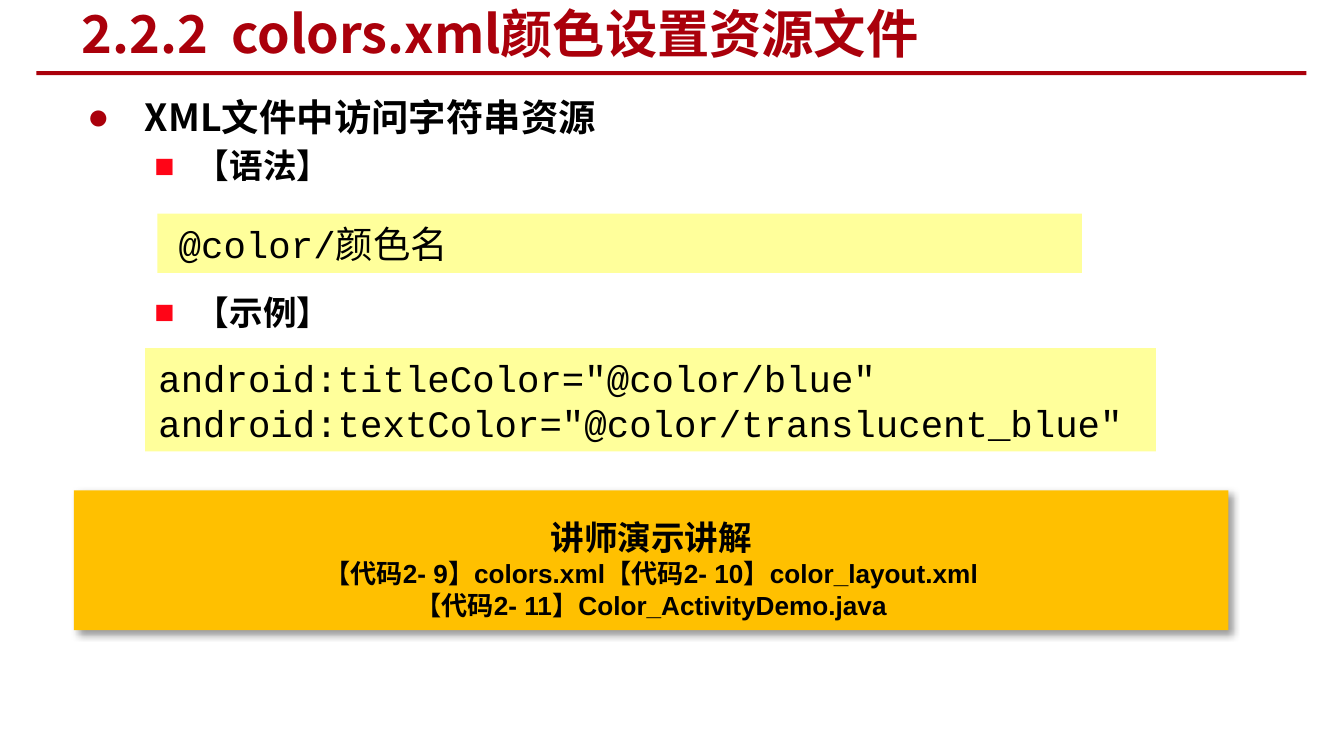
from lxml import etree
from pptx import Presentation
from pptx.dml.color import RGBColor
from pptx.enum.shapes import MSO_SHAPE as SHAPE
from pptx.enum.text import MSO_ANCHOR as ANCHOR, PP_ALIGN as ALIGN
from pptx.oxml import parse_xml
from pptx.oxml.ns import nsdecls, qn
from pptx.util import Inches, Pt

CJK, MONO = "Noto Sans CJK SC", "Courier New"
RED, BRIGHT_RED, YELLOW, AMBER, BLACK = "AA000B", "FF0517", "FFFF9B", "FFC000", "000000"


def rgb(value):
    return RGBColor.from_string(value)


def style(p, size, font, color=BLACK, bold=False):
    """Format every run, for Latin and East Asian text alike."""
    for r in p.runs:
        r.font.size, r.font.name, r.font.bold = Pt(size), font, bold
        r.font.color.rgb = rgb(color)
        ea = etree.SubElement(r.font._element, qn("a:ea"))
        ea.set("typeface", CJK)


def add_title(s, number, text):
    title = s.shapes.title
    title.left, title.top = Inches(0.51), Inches(0.02)
    title.width, title.height = Inches(6.67), Inches(0.45)
    tf = title.text_frame
    tf.vertical_anchor, tf.word_wrap = ANCHOR.MIDDLE, True
    p = tf.paragraphs[0]
    p.alignment = ALIGN.LEFT
    for part in (number, " ", text):
        p.add_run().text = part
    style(p, 28, CJK, RED, True)
    p.runs[1].font._element.set("spc", "630")


def add_box(s, left, top, width, height, fill):
    sp = s.shapes.add_shape(SHAPE.RECTANGLE, Inches(left), Inches(top),
                            Inches(width), Inches(height))
    sp.shadow.inherit = False
    sp.fill.solid()
    sp.fill.fore_color.rgb = rgb(fill)
    sp.line.fill.background()
    return sp


def add_shadow(sp):
    effects = sp._element.spPr.find(qn("a:effectLst"))
    effects.append(parse_xml(
        f'<a:outerShdw {nsdecls("a")} blurRad="{Pt(4)}" dist="{Pt(3)}" dir="2700000" '
        'algn="tl" rotWithShape="0"><a:srgbClr val="000000"><a:alpha val="40000"/>'
        '</a:srgbClr></a:outerShdw>'))


def set_bullet(p, char, color, margin, hanging):
    pPr = p._p.get_or_add_pPr()
    pPr.set("marL", str(Inches(margin)))
    pPr.set("indent", str(-Inches(hanging)))
    clr = etree.SubElement(pPr, qn("a:buClr"))
    etree.SubElement(clr, qn("a:srgbClr")).set("val", color)
    etree.SubElement(pPr, qn("a:buFont")).set("typeface", "Arial")
    etree.SubElement(pPr, qn("a:buChar")).set("char", char)


def add_outline(s, heading, items):
    """Heading bullet with sub-bullets; each item is (text, space before)."""
    box = s.shapes.add_textbox(Inches(0.55), Inches(0.65), Inches(8.59), Inches(2))
    tf = box.text_frame
    tf.word_wrap = True
    p = tf.paragraphs[0]
    p.text = heading
    set_bullet(p, "●", RED, 0.43, 0.43)
    style(p, 20, CJK, bold=True)
    for text, before in items:
        p = tf.add_paragraph()
        p.text = text
        p.level = 1
        p.space_before = Pt(before)
        set_bullet(p, "■", BRIGHT_RED, 0.81, 0.31)
        style(p, 18, CJK, bold=True)


def add_code(s, left, top, width, height, lines, inset=0.1):
    tf = add_box(s, left, top, width, height, YELLOW).text_frame
    tf.word_wrap, tf.vertical_anchor = True, ANCHOR.MIDDLE
    tf.margin_left = Inches(inset)
    tf.text = "\n".join(lines)
    for p in tf.paragraphs:
        p.alignment = ALIGN.LEFT
        style(p, 20, MONO)


def add_demo_panel(s, heading, lines):
    sp = add_box(s, 0.55, 3.65, 8.59, 1.04, AMBER)
    add_shadow(sp)
    tf = sp.text_frame
    tf.word_wrap, tf.vertical_anchor = True, ANCHOR.TOP
    tf.text = "\n".join([heading, *lines])
    for p in tf.paragraphs:
        p.alignment = ALIGN.CENTER
        style(p, 14, "Arial", bold=True)
    first = tf.paragraphs[0]
    first.line_spacing = 1.5
    for r in first.runs:
        r.font.size, r.font.name = Pt(18), CJK


def main():
    prs = Presentation()
    prs.slide_width = Inches(10)
    prs.slide_height = prs.slide_width * 9 // 16
    s = prs.slides.add_slide(prs.slide_layouts[5])
    add_box(s, 0.27, 0.53, 9.45, 0.03, RED)
    add_title(s, "2.2.2", "colors.xml颜色设置资源文件")
    add_outline(s, "XML文件中访问字符串资源", [("【语法】", 3.5), ("【示例】", 57)])
    add_code(s, 1.17, 1.59, 6.88, 0.44, ["@color/颜色名"], inset=0.16)
    add_code(s, 1.08, 2.59, 7.52, 0.77, [
        'android:titleColor="@color/blue"',
        'android:textColor="@color/translucent_blue"',
    ])
    add_demo_panel(s, "讲师演示讲解", [
        "【代码2- 9】colors.xml【代码2- 10】color_layout.xml",
        "【代码2- 11】Color_ActivityDemo.java",
    ])
    prs.save("out.pptx")


if __name__ == "__main__":
    main()
